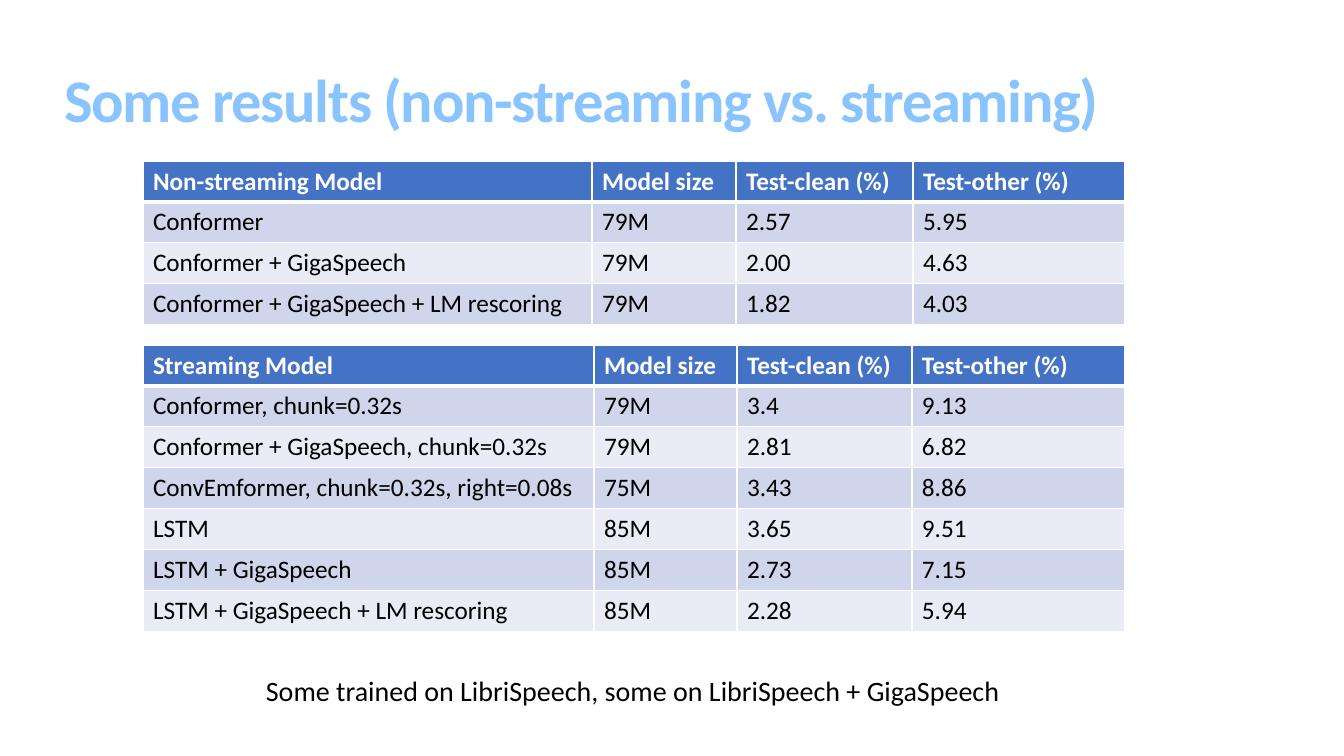
from lxml.etree import SubElement
from pptx import Presentation
from pptx.dml.color import RGBColor
from pptx.enum.text import MSO_ANCHOR, MSO_AUTO_SIZE, PP_ALIGN
from pptx.oxml.ns import qn
from pptx.util import Pt

TITLE = "Some results (non-streaming vs. streaming)"
CAPTION = "Some trained on LibriSpeech, some on LibriSpeech + GigaSpeech"
METRICS = ("Model size", "Test-clean (%)", "Test-other (%)")
TABLES = [
    {"top": 161, "height": 163, "columns": (449, 144, 177, 212), "rows": [
        ("Non-streaming Model", *METRICS),
        ("Conformer", "79M", "2.57", "5.95"),
        ("Conformer + GigaSpeech", "79M", "2.00", "4.63"),
        ("Conformer + GigaSpeech + LM rescoring", "79M", "1.82", "4.03"),
    ]},
    {"top": 345, "height": 286, "columns": (451, 143, 175, 213), "rows": [
        ("Streaming Model", *METRICS),
        ("Conformer, chunk=0.32s", "79M", "3.4", "9.13"),
        ("Conformer + GigaSpeech, chunk=0.32s", "79M", "2.81", "6.82"),
        ("ConvEmformer, chunk=0.32s, right=0.08s", "75M", "3.43", "8.86"),
        ("LSTM", "85M", "3.65", "9.51"),
        ("LSTM + GigaSpeech", "85M", "2.73", "7.15"),
        ("LSTM + GigaSpeech + LM rescoring", "85M", "2.28", "5.94"),
    ]},
]
TABLE_LEFT = 143
HEADER_FILL, BAND_FILLS = "4472C4", ("CFD5EA", "E9EBF5")
WHITE, BLACK, TITLE_BLUE = "FFFFFF", "000000", "89C4FF"


def px(pixels):
    """Turn pixels into EMU."""
    return round(pixels * 914400 / 100.8)


def color(hex_string):
    """Turn a hex string into a colour."""
    return RGBColor.from_string(hex_string)


def format_text(text_frame, size, hex_string, bold=False):
    """Format the only run of a text frame and return it."""
    run = text_frame.paragraphs[0].runs[0]
    run.font.name, run.font.size, run.font.bold = "Calibri", Pt(size), bold
    run.font.color.rgb = color(hex_string)
    return run


def add_borders(cell, top, bottom):
    """Draw white cell borders, with top and bottom widths in points."""
    properties = cell._tc.get_or_add_tcPr()
    for side, width in (("L", 1), ("R", 1), ("T", top), ("B", bottom)):
        line = SubElement(properties, qn(f"a:ln{side}"), w=str(Pt(width)))
        fill = SubElement(line, qn("a:solidFill"))
        SubElement(fill, qn("a:srgbClr"), val=WHITE)


def add_results(slide, top, height, columns, rows):
    """Add one results table with a header and banded rows."""
    table = slide.shapes.add_table(
        len(rows), len(columns), px(TABLE_LEFT), px(top),
        px(sum(columns)), px(height)).table
    for column, width in zip(table.columns, columns):
        column.width = px(width)
    for row_index, values in enumerate(rows):
        header = row_index == 0
        table.rows[row_index].height = px(height / len(rows))
        for column_index, value in enumerate(values):
            cell = table.cell(row_index, column_index)
            cell.text_frame.text = value
            format_text(cell.text_frame, 18, WHITE if header else BLACK, header)
            add_borders(cell, 3 if row_index == 1 else 1, 3 if header else 1)
            cell.fill.solid()
            cell.fill.fore_color.rgb = color(
                HEADER_FILL if header else BAND_FILLS[(row_index - 1) % 2])


presentation = Presentation()
presentation.slide_width, presentation.slide_height = px(1344), px(756)
slide = presentation.slides.add_slide(presentation.slide_layouts[5])

title = slide.shapes.title
title.left, title.top, title.width, title.height = map(px, (54, 46, 1159, 114))
title.text_frame.text = TITLE
title.text_frame.auto_size = MSO_AUTO_SIZE.NONE
title.text_frame.vertical_anchor = MSO_ANCHOR.MIDDLE
title.text_frame.paragraphs[0].alignment = PP_ALIGN.LEFT
title.text_frame.paragraphs[0].line_spacing = 0.9
title_run = format_text(title.text_frame, 43.2, TITLE_BLUE, bold=True)
title_run.font._element.set("spc", "-90")

for results in TABLES:
    add_results(slide, **results)

caption = slide.shapes.add_textbox(*map(px, (256, 669, 761, 44)))
caption.text_frame.text = CAPTION
caption.text_frame.word_wrap = False
caption.text_frame.auto_size = MSO_AUTO_SIZE.SHAPE_TO_FIT_TEXT
format_text(caption.text_frame, 20, BLACK)

presentation.save("out.pptx")
